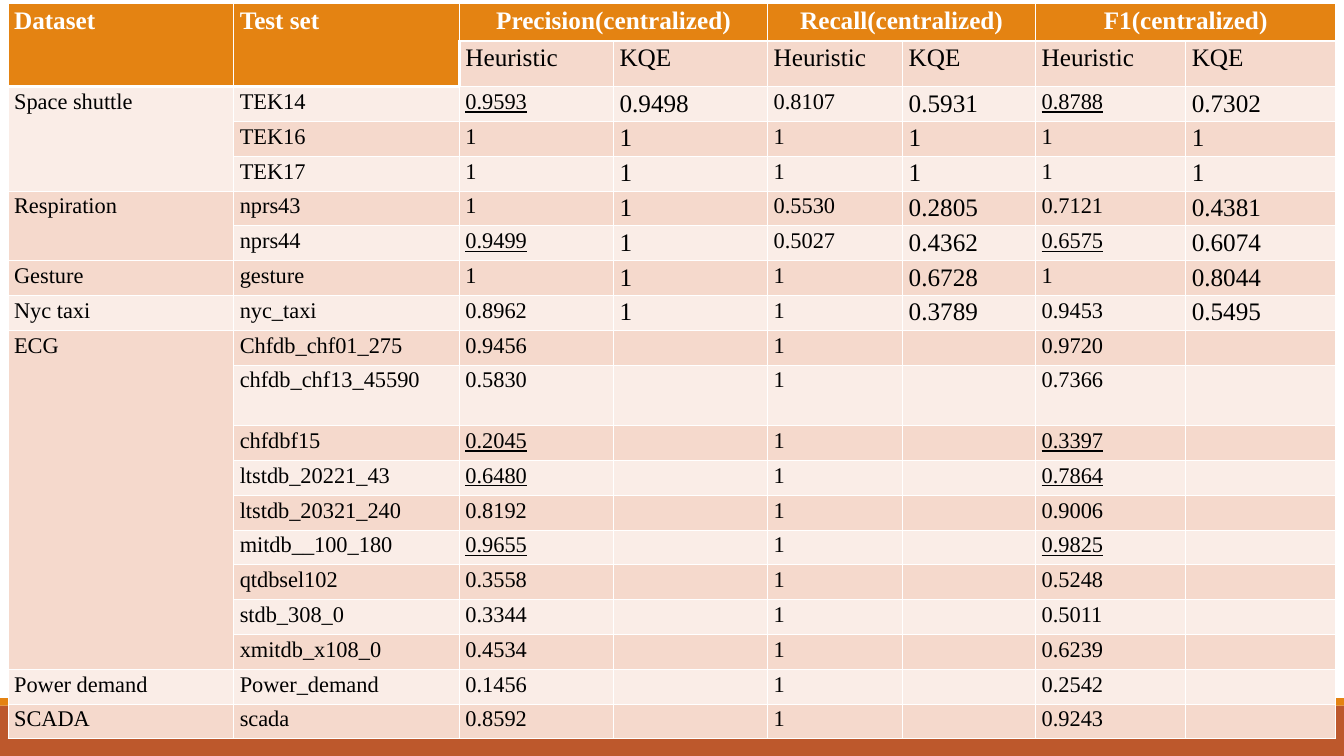
import pptx
import pptx.util
import pptx.dml.color
import pptx.enum.shapes
import pptx.enum.text
import lxml.etree

COLORS = {
    "header": "E48312",
    "footer": "BD582C",
    "dark_band": "F5D9CC",
    "light_band": "FAEDE7",
    "white": "FFFFFF",
    "black": "000000",
}
FONT = "Times New Roman"
W, H = pptx.util.Inches(13.33), pptx.util.Inches(7.5)
rgb = pptx.dml.color.RGBColor.from_string

# Dataset -> rows of test set, then Heuristic and KQE for each measure; * underlines
RESULTS = {
    "Space shuttle": [
        ("TEK14", "0.9593*", "0.9498", "0.8107", "0.5931", "0.8788*", "0.7302"),
        ("TEK16", "1", "1", "1", "1", "1", "1"),
        ("TEK17", "1", "1", "1", "1", "1", "1"),
    ],
    "Respiration": [
        ("nprs43", "1", "1", "0.5530", "0.2805", "0.7121", "0.4381"),
        ("nprs44", "0.9499*", "1", "0.5027", "0.4362", "0.6575*", "0.6074"),
    ],
    "Gesture": [("gesture", "1", "1", "1", "0.6728", "1", "0.8044")],
    "Nyc taxi": [("nyc_taxi", "0.8962", "1", "1", "0.3789", "0.9453", "0.5495")],
    "ECG": [
        ("Chfdb_chf01_275", "0.9456", "", "1", "", "0.9720", ""),
        ("chfdb_chf13_45590", "0.5830", "", "1", "", "0.7366", ""),
        ("chfdbf15", "0.2045*", "", "1", "", "0.3397*", ""),
        ("ltstdb_20221_43", "0.6480*", "", "1", "", "0.7864*", ""),
        ("ltstdb_20321_240", "0.8192", "", "1", "", "0.9006", ""),
        ("mitdb__100_180", "0.9655*", "", "1", "", "0.9825*", ""),
        ("qtdbsel102", "0.3558", "", "1", "", "0.5248", ""),
        ("stdb_308_0", "0.3344", "", "1", "", "0.5011", ""),
        ("xmitdb_x108_0", "0.4534", "", "1", "", "0.6239", ""),
    ],
    "Power demand": [("Power_demand", "0.1456", "", "1", "", "0.2542", "")],
    "SCADA": [("scada", "0.8592", "", "1", "", "0.9243", "")],
}
rows = [
    ["Dataset", "Test set", "Precision(centralized)", "", "Recall(centralized)", "",
     "F1(centralized)", ""],
    ["", ""] + ["Heuristic", "KQE"] * 3,
]
merges = [(0, 0, 1, 0), (0, 1, 1, 1)] + [(0, c, 0, c + 1) for c in (2, 4, 6)]
for dataset, tests in RESULTS.items():
    first = len(rows)
    for i, test in enumerate(tests):
        rows.append([dataset if i == 0 else "", *test])
    if len(tests) > 1:
        merges.append((first, 0, len(rows) - 1, 0))


def is_header(r, c):
    return r == 0 or (r == 1 and c < 2)


def add_border(cell, side, width):
    ln = lxml.etree.SubElement(
        cell._tc.get_or_add_tcPr(), pptx.oxml.ns.qn(f"a:ln{side}"),
        w=str(pptx.util.Pt(width)))
    fill = lxml.etree.SubElement(ln, pptx.oxml.ns.qn("a:solidFill"))
    lxml.etree.SubElement(fill, pptx.oxml.ns.qn("a:srgbClr"), val=COLORS["white"])


prs = pptx.Presentation()
prs.slide_width, prs.slide_height = W, H
s = prs.slides.add_slide(prs.slide_layouts[6])

# Footer bar with its accent stripe
bar_h, stripe_h = H // 15, H // 100
for top, height, color in ((H - bar_h, bar_h, "footer"),
                           (H - bar_h - stripe_h, stripe_h, "header")):
    sp = s.shapes.add_shape(pptx.enum.shapes.MSO_SHAPE.RECTANGLE, 0, top, W, height)
    sp.shadow.inherit = False
    sp.fill.solid()
    sp.fill.fore_color.rgb = rgb(COLORS[color])
    sp.line.fill.background()

# Results table: column and row sizes are shares of the table
col_shares = [2.24, 2.24, 1.53, 1.53, 1.34, 1.32, 1.49, 1.49]
row_shares = [0.37, 0.45] + [0.345] * (len(rows) - 2)
row_shares[10] = 0.6
table_w, table_h = int(W * 0.988), int(H * 0.973)
table = s.shapes.add_table(len(rows), len(col_shares), int(W * 0.006), int(H * 0.005),
                           table_w, table_h).table
for column, share in zip(table.columns, col_shares):
    column.width = int(table_w * share / sum(col_shares))
for row, share in zip(table.rows, row_shares):
    row.height = int(table_h * share / sum(row_shares))

for r, values in enumerate(rows):
    for c, value in enumerate(values):
        cell = table.cell(r, c)
        header = is_header(r, c)
        cell.margin_left = cell.margin_right = pptx.util.Inches(0.06)
        cell.margin_top = cell.margin_bottom = pptx.util.Inches(0.03)
        thick = {
            "L": r == 1 and c == 2,
            "R": False,
            "T": r > 0 and is_header(r - 1, c),
            "B": header,
        }
        for side, is_thick in thick.items():
            add_border(cell, side, 1.82 if is_thick else 0.61)
        band = "header" if header else "dark_band" if r % 2 else "light_band"
        cell.fill.solid()
        cell.fill.fore_color.rgb = rgb(COLORS[band])

        p = cell.text_frame.paragraphs[0]
        if not value:
            p._p.get_or_add_endParaRPr().set("sz", "1600")
            continue
        if r == 0 and c >= 2:
            p.alignment = pptx.enum.text.PP_ALIGN.CENTER
        run = p.add_run()
        run.text = value.rstrip("*")
        run.font.name = FONT
        run.font.size = pptx.util.Pt(18 if r < 2 or c in (3, 5, 7) else 16)
        run.font.bold = header
        run.font.underline = value.endswith("*")
        run.font.color.rgb = rgb(COLORS["white" if header else "black"])

for top, left, bottom, right in merges:
    table.cell(top, left).merge(table.cell(bottom, right))

prs.save("out.pptx")
